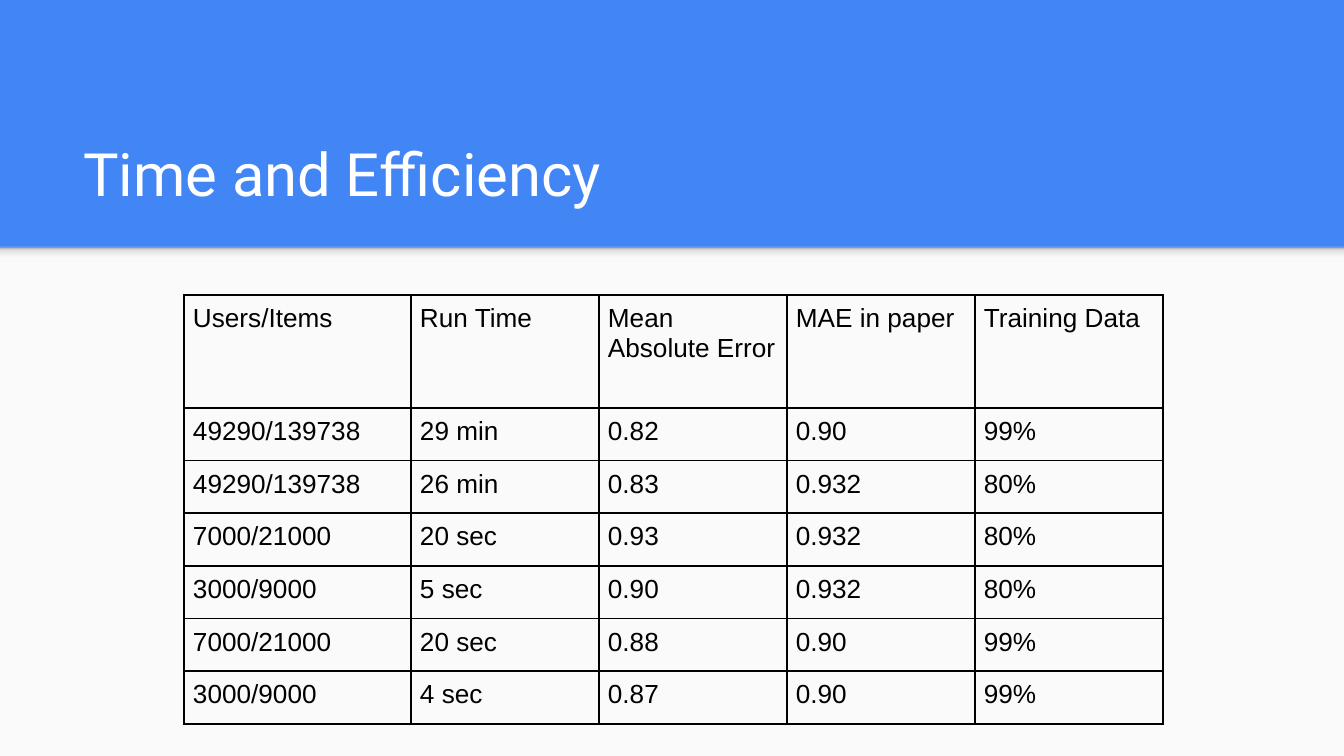
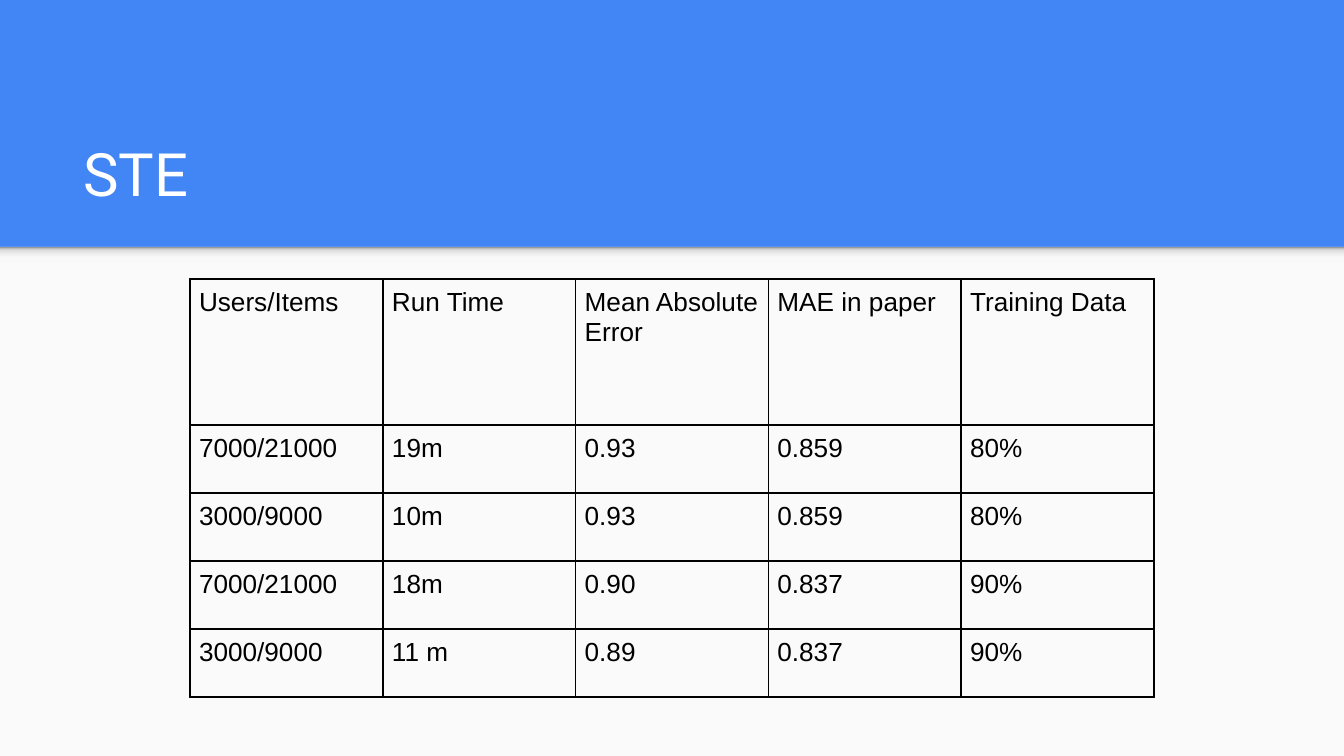
from dataclasses import dataclass

import copy
import lxml.etree
import pptx
import pptx.dml.color
import pptx.enum.shapes
import pptx.enum.text
import pptx.oxml.ns
import pptx.util

Color = pptx.dml.color.RGBColor
qn = pptx.oxml.ns.qn

# Shared look
BLUE = Color(0x42, 0x85, 0xF4)
PALE = Color(0xFA, 0xFA, 0xFA)
MIST = Color(0xF9, 0xF9, 0xF9)
SILVER = Color(0xDE, 0xDE, 0xDE)
GREY = Color(0x99, 0x99, 0x99)
WHITE = Color(0xFF, 0xFF, 0xFF)
BLACK = Color(0x00, 0x00, 0x00)
SHADE = [(0, MIST), (0.36, MIST), (0.8, SILVER), (1, GREY)]
TITLE = {"name": "Roboto", "size": pptx.util.Pt(32), "bold": False}
BODY = {"name": "Arial", "size": pptx.util.Pt(14), "bold": False}
WIDE, HIGH, EDGE = 1344, 756, 247
HEAD = ("Users/Items", "Run Time", "Mean Absolute Error",
        "MAE in paper", "Training Data")


@dataclass
class Grid:
    """Table place in px: first column and row, then the space left to share."""
    title: str
    left: int
    top: int
    first: int
    rest: int
    head: int
    body: int
    rows: list[tuple[str, ...]]


PAGES = [
    Grid("Time and Efficiency", 184, 295, 227, 752, 113, 316, [
        ("49290/139738", "29 min", "0.82", "0.90", "99%"),
        ("49290/139738", "26 min", "0.83", "0.932", "80%"),
        ("7000/21000", "20 sec", "0.93", "0.932", "80%"),
        ("3000/9000", "5 sec", "0.90", "0.932", "80%"),
        ("7000/21000", "20 sec", "0.88", "0.90", "99%"),
        ("3000/9000", "4 sec", "0.87", "0.90", "99%"),
    ]),
    Grid("STE", 190, 279, 193, 771, 146, 272, [
        ("7000/21000", "19m", "0.93", "0.859", "80%"),
        ("3000/9000", "10m", "0.93", "0.859", "80%"),
        ("7000/21000", "18m", "0.90", "0.837", "90%"),
        ("3000/9000", "11 m", "0.89", "0.837", "90%"),
    ]),
]


def px(n: float) -> int:
    return round(n * pptx.util.Inches(10) / WIDE)


def style(item, values: dict) -> None:
    for key, value in values.items():
        setattr(item, key, value)


def paint(font, look: dict, color: Color) -> None:
    style(font, look)
    font.color.rgb = color


# Panel and the soft shade along its top edge
def add_rect(slide, top: int, high: int):
    rect = slide.shapes.add_shape(
        pptx.enum.shapes.MSO_SHAPE.RECTANGLE, 0, px(top), px(WIDE), px(high))
    rect.shadow.inherit = False
    rect.line.fill.background()
    return rect


def add_panel(slide) -> None:
    panel = add_rect(slide, EDGE, HIGH - EDGE)
    panel.fill.solid()
    panel.fill.fore_color.rgb = PALE
    shade = add_rect(slide, EDGE, 16)
    shade.fill.gradient()
    shade.fill.gradient_angle = 90
    stops = next(shade._element.iter(qn("a:gsLst")))
    for _ in SHADE[2:]:
        stops.append(copy.deepcopy(stops[0]))
    for stop, (spot, color) in zip(shade.fill.gradient_stops, SHADE):
        stop.position = spot
        stop.color.rgb = color


def set_title(slide, text: str) -> None:
    title = slide.shapes.title
    style(title, {"left": px(70), "top": px(109),
                  "width": px(1208), "height": px(113)})
    frame = title.text_frame
    frame.text = text
    style(frame, {"auto_size": pptx.enum.text.MSO_AUTO_SIZE.NONE,
                  "vertical_anchor": pptx.enum.text.MSO_ANCHOR.BOTTOM,
                  "word_wrap": True})
    style(frame, {f"margin_{side}": px(13)
                  for side in ("left", "right", "top", "bottom")})
    para = frame.paragraphs[0]
    para.alignment = pptx.enum.text.PP_ALIGN.LEFT
    paint(para.runs[0].font, TITLE, WHITE)


# Table with thin black rules
def add_rules(cell) -> None:
    props = cell._tc.get_or_add_tcPr()
    for side in "LRTB":
        line = lxml.etree.SubElement(props, qn(f"a:ln{side}"),
                                     w=str(pptx.util.Pt(1)))
        fill = lxml.etree.SubElement(line, qn("a:solidFill"))
        lxml.etree.SubElement(fill, qn("a:srgbClr"), val=str(BLACK))


def fill_cell(cell, text: str) -> None:
    cell.text = text
    style(cell, {f"margin_{side}": px(9)
                 for side in ("left", "right", "top", "bottom")})
    add_rules(cell)
    cell.fill.background()
    paint(cell.text_frame.paragraphs[0].runs[0].font, BODY, BLACK)


def add_grid(slide, grid: Grid) -> None:
    rows = [HEAD, *grid.rows]
    table = slide.shapes.add_table(
        len(rows), len(HEAD), px(grid.left), px(grid.top),
        px(grid.first + grid.rest), px(grid.head + grid.body)).table
    style(table, {"first_row": False, "horz_banding": False})
    for i, col in enumerate(table.columns):
        col.width = px(grid.rest / (len(HEAD) - 1) if i else grid.first)
    for i, row in enumerate(table.rows):
        row.height = px(grid.body / len(grid.rows) if i else grid.head)
        for cell, text in zip(row.cells, rows[i]):
            fill_cell(cell, text)


def main() -> None:
    deck = pptx.Presentation()
    style(deck, {"slide_width": px(WIDE), "slide_height": px(HIGH)})
    back = deck.slide_master.background.fill
    back.solid()
    back.fore_color.rgb = BLUE
    for grid in PAGES:
        slide = deck.slides.add_slide(deck.slide_layouts[5])
        add_panel(slide)
        set_title(slide, grid.title)
        add_grid(slide, grid)
    deck.save("out.pptx")


if __name__ == "__main__":
    main()
